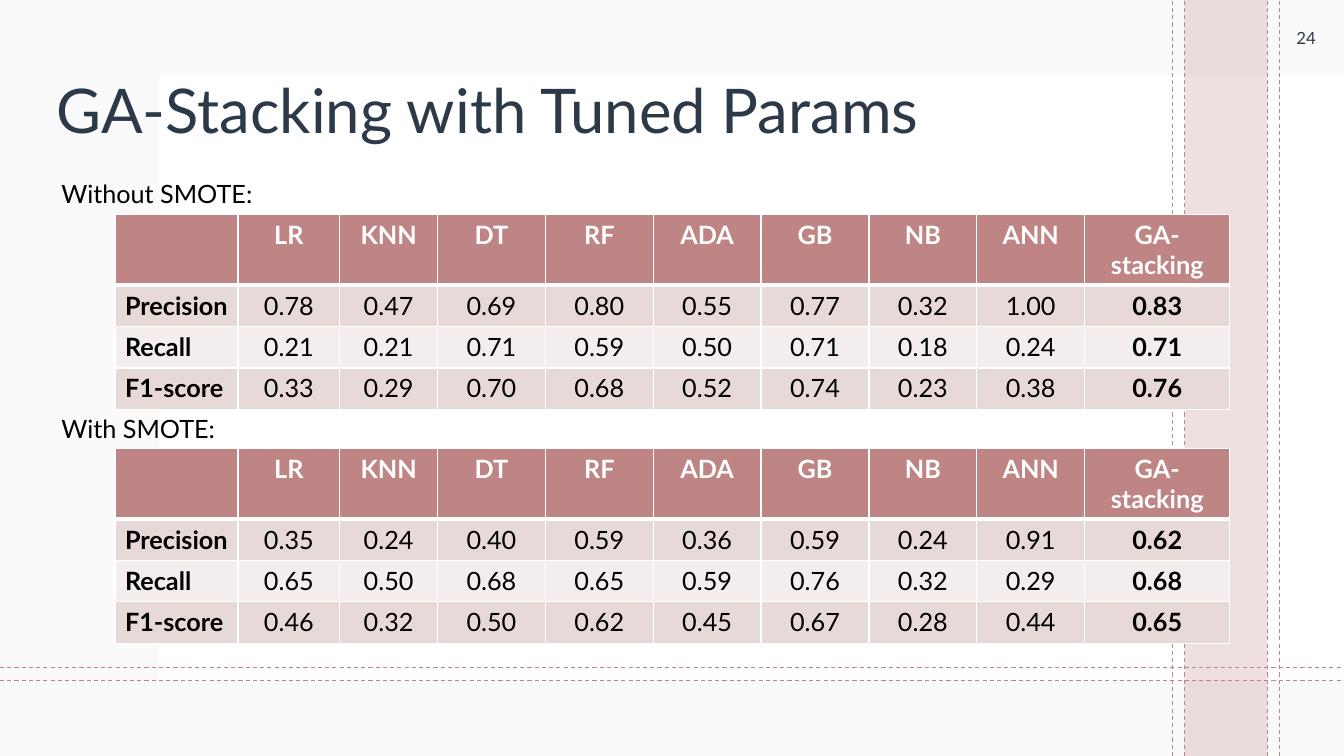
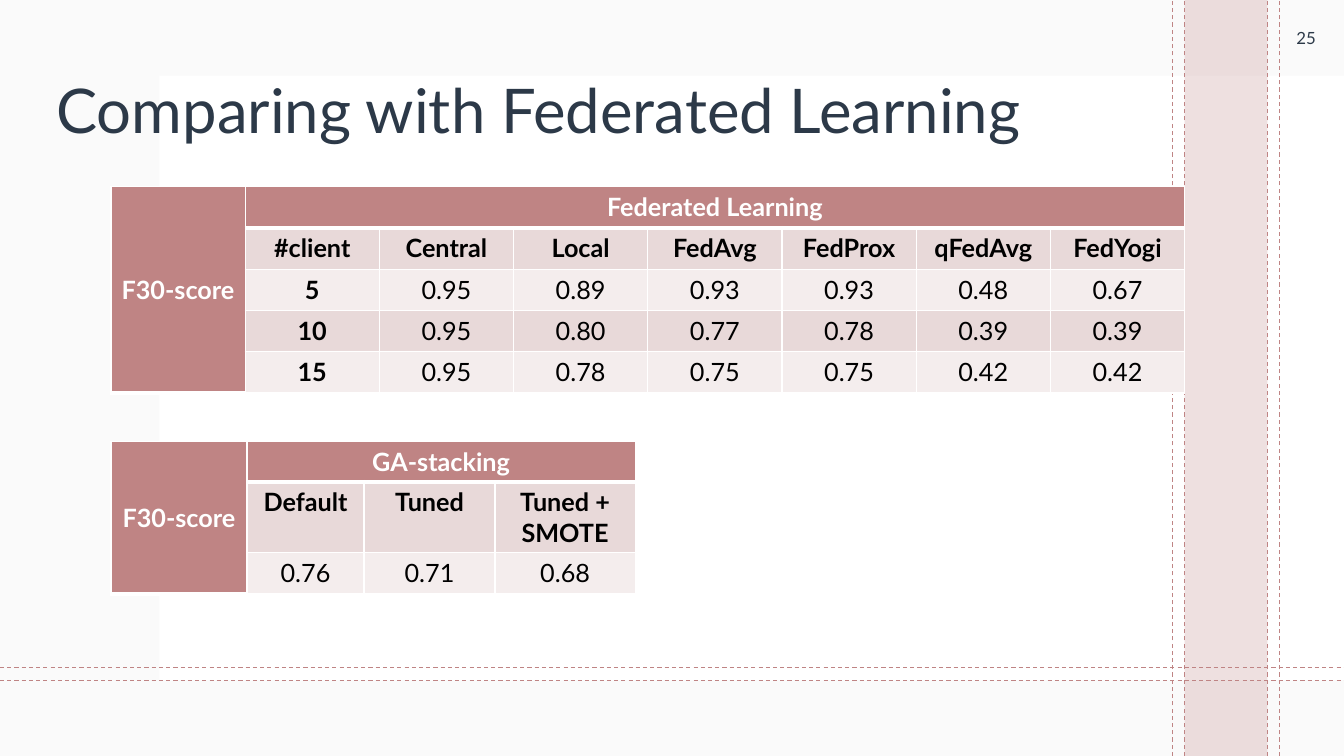
from lxml import etree
from pptx import Presentation
from pptx.dml.color import RGBColor
from pptx.enum.dml import MSO_LINE
from pptx.enum.shapes import MSO_CONNECTOR, MSO_SHAPE
from pptx.enum.text import MSO_ANCHOR, MSO_AUTO_SIZE, PP_ALIGN
from pptx.oxml.ns import qn
from pptx.util import Inches, Pt

LEFT, CENTER = PP_ALIGN.LEFT, PP_ALIGN.CENTER
TOP, MIDDLE = MSO_ANCHOR.TOP, MSO_ANCHOR.MIDDLE
DASH, STRAIGHT, RECTANGLE = MSO_LINE.DASH, MSO_CONNECTOR.STRAIGHT, MSO_SHAPE.RECTANGLE
FIT_SHAPE, NO_FIT = MSO_AUTO_SIZE.SHAPE_TO_FIT_TEXT, MSO_AUTO_SIZE.NONE

WIDTH, HEIGHT = 13.33, 7.5
FONT = "Lato"
ROSE, NAVY, WHITE, BLACK, GREY = "BF8484", "2C3948", "FFFFFF", "000000", "F4F4F4"
STRIPES = ("F4EDED", "E8D9D9")
ROW = 0.41

PANELS = [
    ((0, 0, WIDTH, HEIGHT), GREY, 45),
    ((1.58, 0.75, WIDTH - 1.58, 6), WHITE, 100),
    ((11.75, 0, 0.82, HEIGHT), ROSE, 25),
]
VERTICAL_RULES = (12.57, 12.69, 11.75, 11.63)
HORIZONTAL_RULES = (6.75, 6.62)

MODELS = ["", "LR", "KNN", "DT", "RF", "ADA", "GB", "NB", "ANN", "GA-stacking"]
MODEL_COLUMNS = [1.22, 1.01, 0.97] + [1.07] * 6 + [1.44]
WITHOUT_SMOTE = [
    MODELS,
    ["Precision", "0.78", "0.47", "0.69", "0.80", "0.55", "0.77", "0.32", "1.00", "0.83"],
    ["Recall", "0.21", "0.21", "0.71", "0.59", "0.50", "0.71", "0.18", "0.24", "0.71"],
    ["F1-score", "0.33", "0.29", "0.70", "0.68", "0.52", "0.74", "0.23", "0.38", "0.76"],
]
WITH_SMOTE = [
    MODELS,
    ["Precision", "0.35", "0.24", "0.40", "0.59", "0.36", "0.59", "0.24", "0.91", "0.62"],
    ["Recall", "0.65", "0.50", "0.68", "0.65", "0.59", "0.76", "0.32", "0.29", "0.68"],
    ["F1-score", "0.46", "0.32", "0.50", "0.62", "0.45", "0.67", "0.28", "0.44", "0.65"],
]
FEDERATED = [
    ["F30-score", "Federated Learning"],
    ["", "#client", "Central", "Local", "FedAvg", "FedProx", "qFedAvg", "FedYogi"],
    ["", "5", "0.95", "0.89", "0.93", "0.93", "0.48", "0.67"],
    ["", "10", "0.95", "0.80", "0.77", "0.78", "0.39", "0.39"],
    ["", "15", "0.95", "0.78", "0.75", "0.75", "0.42", "0.42"],
]
STACKING = [
    ["F30-score", "GA-stacking"],
    ["", "Default", "Tuned", "Tuned + SMOTE"],
    ["", "0.76", "0.71", "0.68"],
]

SLIDES = [
    {
        "title": "GA-Stacking with Tuned Params",
        "number": "24",
        "labels": [("Without SMOTE:", 1.72), ("With SMOTE:", 4.05)],
        "tables": [
            {"rows": rows, "left": 1.14, "top": top, "columns": MODEL_COLUMNS,
             "heights": [ROW] * 4, "bold_rows": 1, "bold_columns": (0, 9), "grouped": False}
            for rows, top in ((WITHOUT_SMOTE, 2.13), (WITH_SMOTE, 4.45))
        ],
    },
    {
        "title": "Comparing with Federated Learning",
        "number": "25",
        "labels": [],
        "tables": [
            {"rows": STACKING, "left": 1.1, "top": 4.38, "columns": [1.35, 1.16, 1.3, 1.39],
             "heights": [0.4, 0.7, ROW], "bold_rows": 2, "bold_columns": (), "grouped": True},
            {"rows": FEDERATED, "left": 1.1, "top": 1.85, "columns": [10.65 / 8] * 8,
             "heights": [ROW] * 5, "bold_rows": 2, "bold_columns": (1,), "grouped": True},
        ],
    },
]


def color(code):
    return RGBColor.from_string(code)


def inches(*lengths):
    return [Inches(length) for length in lengths]


def write(frame, text, size, code, align=LEFT, bold=False):
    frame.text = text
    para = frame.paragraphs[0]
    para.alignment = align
    for span in para.runs:
        span.font.name = FONT
        span.font.size = Pt(size)
        span.font.bold = bold
        span.font.color.rgb = color(code)
    return para


def add_panel(slide, place, code, opacity):
    panel = slide.shapes.add_shape(RECTANGLE, *inches(*place))
    panel.shadow.inherit = False
    panel.line.fill.background()
    panel.fill.solid()
    panel.fill.fore_color.rgb = color(code)
    if opacity < 100:
        tint = next(panel.element.iter(qn("a:srgbClr")))
        etree.SubElement(tint, qn("a:alpha"), val=str(opacity * 1000))
    return panel


def add_rule(slide, *ends):
    rule = slide.shapes.add_connector(STRAIGHT, *inches(*ends))
    rule.line.color.rgb = color(ROSE)
    rule.line.width = Pt(0.75)
    rule.line.dash_style = DASH
    etree.SubElement(rule.element.find(qn("p:spPr")), qn("a:effectLst"))
    return rule


def decorate(layout, slide):
    parts = [add_panel(slide, *panel) for panel in PANELS]
    parts += [add_rule(slide, x, HEIGHT, x, 0) for x in VERTICAL_RULES]
    parts += [add_rule(slide, 0, y, WIDTH, y) for y in HORIZONTAL_RULES]
    for position, part in enumerate(parts, 2):
        layout.shapes.element.insert(position, part.element)


def add_title(slide, text):
    title = slide.shapes.title
    title.left, title.top, title.width, title.height = inches(0.46, 0.4, 10.64, 1.45)
    write(title.text_frame, text, 44, NAVY).line_spacing = 0.9
    title.text_frame.vertical_anchor = MIDDLE
    title.text_frame.auto_size = NO_FIT


def add_text(slide, place, text, size, code, align=LEFT, anchor=TOP, fit=NO_FIT):
    box = slide.shapes.add_textbox(*inches(*place))
    box.text_frame.word_wrap = True
    box.text_frame.auto_size = fit
    box.text_frame.vertical_anchor = anchor
    write(box.text_frame, text, size, code, align)


def outline_header(cell):
    properties = cell._tc.get_or_add_tcPr()
    for side, points in (("L", 1), ("R", 1), ("T", 1), ("B", 3)):
        edge = etree.SubElement(properties, qn(f"a:ln{side}"), w=str(Pt(points)))
        fill = etree.SubElement(edge, qn("a:solidFill"))
        etree.SubElement(fill, qn("a:srgbClr"), val=WHITE)


def add_grid(slide, rows, left, top, columns, heights, bold_rows, bold_columns, grouped):
    place = inches(left, top, sum(columns), sum(heights))
    table = slide.shapes.add_table(len(heights), len(columns), *place).table
    for column, width in zip(table.columns, columns):
        column.width = Inches(width)
    for row, height in zip(table.rows, heights):
        row.height = Inches(height)
    for r in range(len(heights)):
        for c in range(len(columns)):
            cell = table.cell(r, c)
            header = r == 0 or (grouped and c == 0)
            if header:
                outline_header(cell)
            cell.fill.solid()
            cell.fill.fore_color.rgb = color(ROSE if header else STRIPES[r % 2])
            text = rows[r][c] if c < len(rows[r]) else ""
            if text:
                align = LEFT if c == 0 and not header else CENTER
                bold = r < bold_rows or c in bold_columns
                write(cell.text_frame, text, 18, WHITE if header else BLACK, align, bold)
    if grouped:
        table.cell(0, 0).merge(table.cell(len(heights) - 1, 0))
        table.cell(0, 0).vertical_anchor = MIDDLE
        table.cell(0, 1).merge(table.cell(0, len(columns) - 1))


def main():
    deck = Presentation()
    deck.slide_width, deck.slide_height = inches(WIDTH, HEIGHT)
    layout = deck.slide_layouts[5]
    for index, content in enumerate(SLIDES):
        slide = deck.slides.add_slide(layout)
        if index == 0:
            decorate(layout, slide)
        add_title(slide, content["title"])
        add_text(slide, (12.58, 0, 0.75, 0.75), content["number"], 12, NAVY, CENTER, MIDDLE)
        for grid in content["tables"]:
            add_grid(slide, **grid)
        for text, top in content["labels"]:
            add_text(slide, (0.51, top, 2.25, 0.4), text, 18, BLACK, fit=FIT_SHAPE)
    deck.save("out.pptx")


if __name__ == "__main__":
    main()
